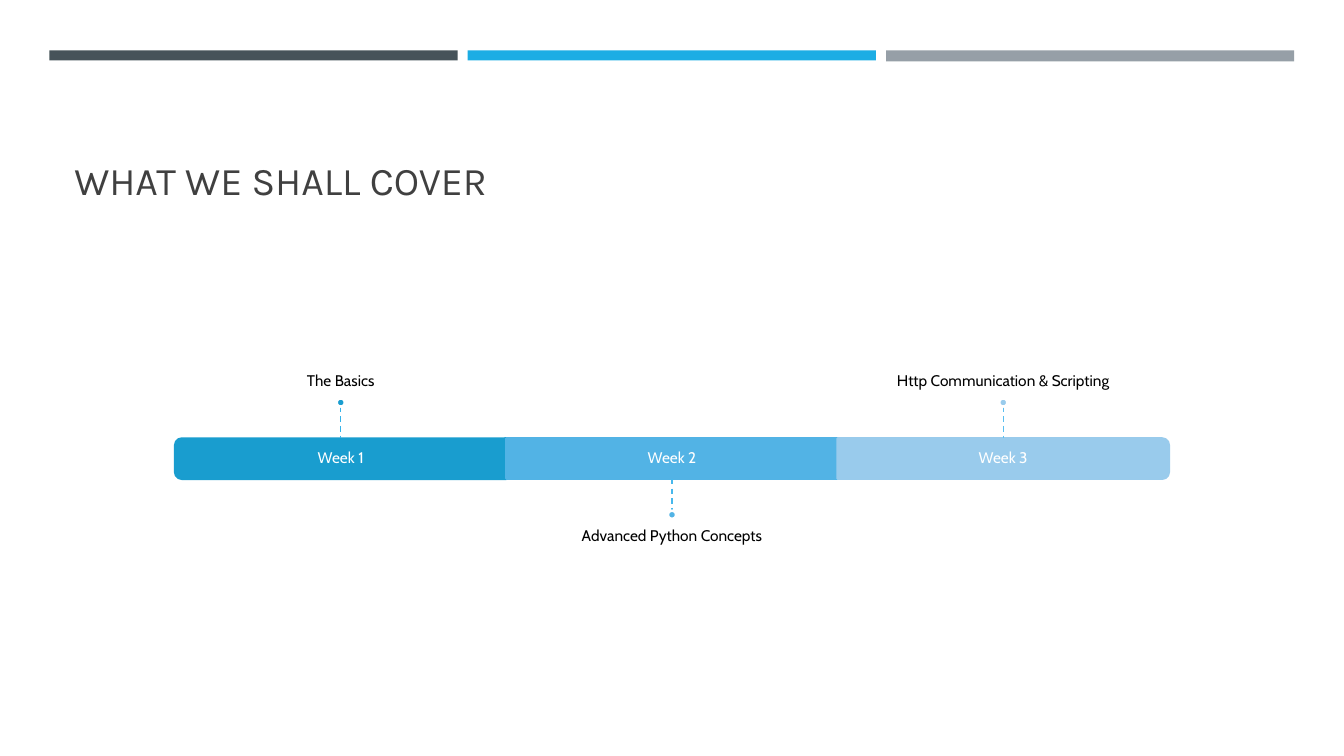
from lxml.etree import SubElement
from pptx import Presentation
from pptx.dml.color import RGBColor
from pptx.enum.dml import MSO_LINE
from pptx.enum.shapes import MSO_CONNECTOR, MSO_SHAPE
from pptx.enum.text import MSO_ANCHOR, PP_ALIGN
from pptx.oxml.ns import qn
from pptx.util import Pt

WHITE = RGBColor(0xFF, 0xFF, 0xFF)
BLACK = RGBColor(0x00, 0x00, 0x00)
CHARCOAL = RGBColor(0x40, 0x40, 0x40)
SLATE = RGBColor(0x46, 0x53, 0x59)
CYAN = RGBColor(0x1C, 0xAD, 0xE4)
GRAY = RGBColor(0x96, 0x9F, 0xA7)
DEEP_BLUE = RGBColor(0x19, 0x9D, 0xCF)
MID_BLUE = RGBColor(0x52, 0xB3, 0xE5)
PALE_BLUE = RGBColor(0x99, 0xCB, 0xEC)
STEM_1 = RGBColor(0x36, 0xB3, 0xE9)
STEM_2 = RGBColor(0x48, 0xB8, 0xEC)
STEM_3 = RGBColor(0x5A, 0xBE, 0xEF)

STRIPS = [(SLATE, 7.2), (CYAN, 7.2), (GRAY, 7.9)]
WEEKS = [
    ("Week 1", "The Basics", DEEP_BLUE, STEM_1, 270, True),
    ("Week 2", "Advanced Python Concepts", MID_BLUE, STEM_2, None, False),
    ("Week 3", "Http Communication & Scripting", PALE_BLUE, STEM_3, 90, True),
]
WEEK_W, BAR_TOP, BAR_H = 236.6, 313.2, 28.8
BAR_BOTTOM = BAR_TOP + BAR_H
STEM, DOT = 22.8, 5.8
TOPIC_W, TOPIC_H = 394.6, 100


class TimelineSlide:
    """Draws styled elements on one slide, with lengths in points."""

    heading_font = "Karla"
    body_font = "Cabin"

    def __init__(self, prs):
        self.s = prs.slides.add_slide(prs.slide_layouts[6])

    def shape(self, kind, x, y, w, h, fill, line=None, rotation=0):
        sp = self.s.shapes.add_shape(kind, Pt(x), Pt(y), Pt(w), Pt(h))
        sp.shadow.inherit = False
        sp.rotation = rotation
        sp.fill.solid()
        sp.fill.fore_color.rgb = fill
        if line is None:
            sp.line.fill.background()
        else:
            sp.line.color.rgb = line
            sp.line.width = Pt(1.75)
        return sp

    def text(self, text, x, y, w, h, color, anchor, insets=(7.2, 3.6, 7.2, 3.6),
             size=11, font=body_font, align=PP_ALIGN.CENTER, spacing=0.9):
        tf = self.s.shapes.add_textbox(Pt(x), Pt(y), Pt(w), Pt(h)).text_frame
        tf.word_wrap = True
        tf.vertical_anchor = anchor
        tf.margin_left, tf.margin_top, tf.margin_right, tf.margin_bottom = map(Pt, insets)
        p = tf.paragraphs[0]
        p.text = text
        p.alignment = align
        p.line_spacing = spacing
        r = p.runs[0]
        r.font.size = Pt(size)
        r.font.name = font
        r.font.color.rgb = color

    def stem(self, x, y1, y2, color, bar=None):
        cn = self.s.shapes.add_connector(
            MSO_CONNECTOR.STRAIGHT, Pt(x), Pt(y1), Pt(x), Pt(y2))
        cn.line.color.rgb = color
        cn.line.width = Pt(1)
        cn.line.dash_style = MSO_LINE.DASH
        SubElement(cn._element.spPr, qn("a:effectLst"))
        if bar is not None:
            cn.begin_connect(bar, 2)

    def week(self, center, label, topic, fill, stem_color, rotation, above):
        left = center - WEEK_W / 2
        if rotation is None:
            bar = self.shape(MSO_SHAPE.RECTANGLE, left, BAR_TOP, WEEK_W, BAR_H, fill, fill)
        else:
            bar = self.shape(MSO_SHAPE.ROUND_2_SAME_RECTANGLE, center - BAR_H / 2,
                             BAR_TOP + (BAR_H - WEEK_W) / 2, BAR_H, WEEK_W,
                             fill, fill, rotation)
        self.text(label, left, BAR_TOP, WEEK_W, BAR_H, WHITE, MSO_ANCHOR.MIDDLE, (6.5,) * 4)
        if above:
            dot_top = BAR_TOP - STEM - DOT
            topic_top, anchor, insets = dot_top - TOPIC_H, MSO_ANCHOR.BOTTOM, (0, 0, 0, 6.5)
            self.stem(center, dot_top + DOT, BAR_TOP, stem_color)
        else:
            dot_top = BAR_BOTTOM + STEM
            topic_top, anchor, insets = dot_top + DOT, MSO_ANCHOR.TOP, (0, 6.5, 0, 0)
            self.stem(center, BAR_BOTTOM, dot_top, stem_color, bar)
        self.text(topic, center - TOPIC_W / 2, topic_top, TOPIC_W, TOPIC_H,
                  BLACK, anchor, insets)
        self.shape(MSO_SHAPE.OVAL, center - DOT / 2, dot_top, DOT, DOT, fill, WHITE)


def main():
    prs = Presentation()
    prs.slide_width, prs.slide_height = Pt(960), Pt(540)
    slide = TimelineSlide(prs)
    for i, (color, height) in enumerate(STRIPS):
        slide.shape(MSO_SHAPE.RECTANGLE, 35.3 + i * 298.8, 36, 291.6, height, color)
    slide.text("WHAT WE SHALL COVER", 46, 55.4, 868.3, 93.6, CHARCOAL, MSO_ANCHOR.BOTTOM,
               size=28, font=slide.heading_font, align=PP_ALIGN.LEFT, spacing=1.0)
    for i, week in enumerate(WEEKS):
        slide.week(480 + (i - 1) * WEEK_W, *week)
    prs.save("out.pptx")


if __name__ == "__main__":
    main()
